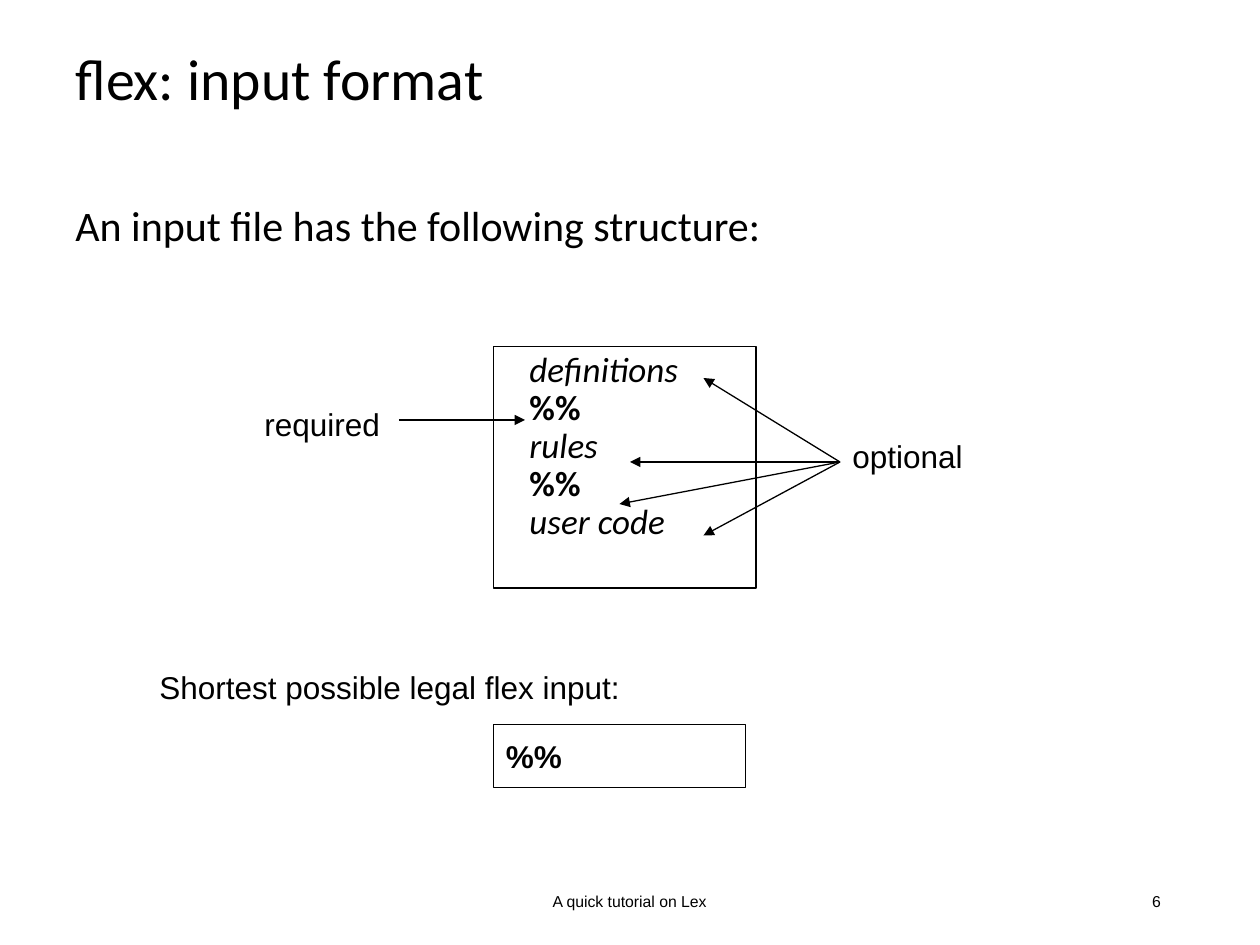
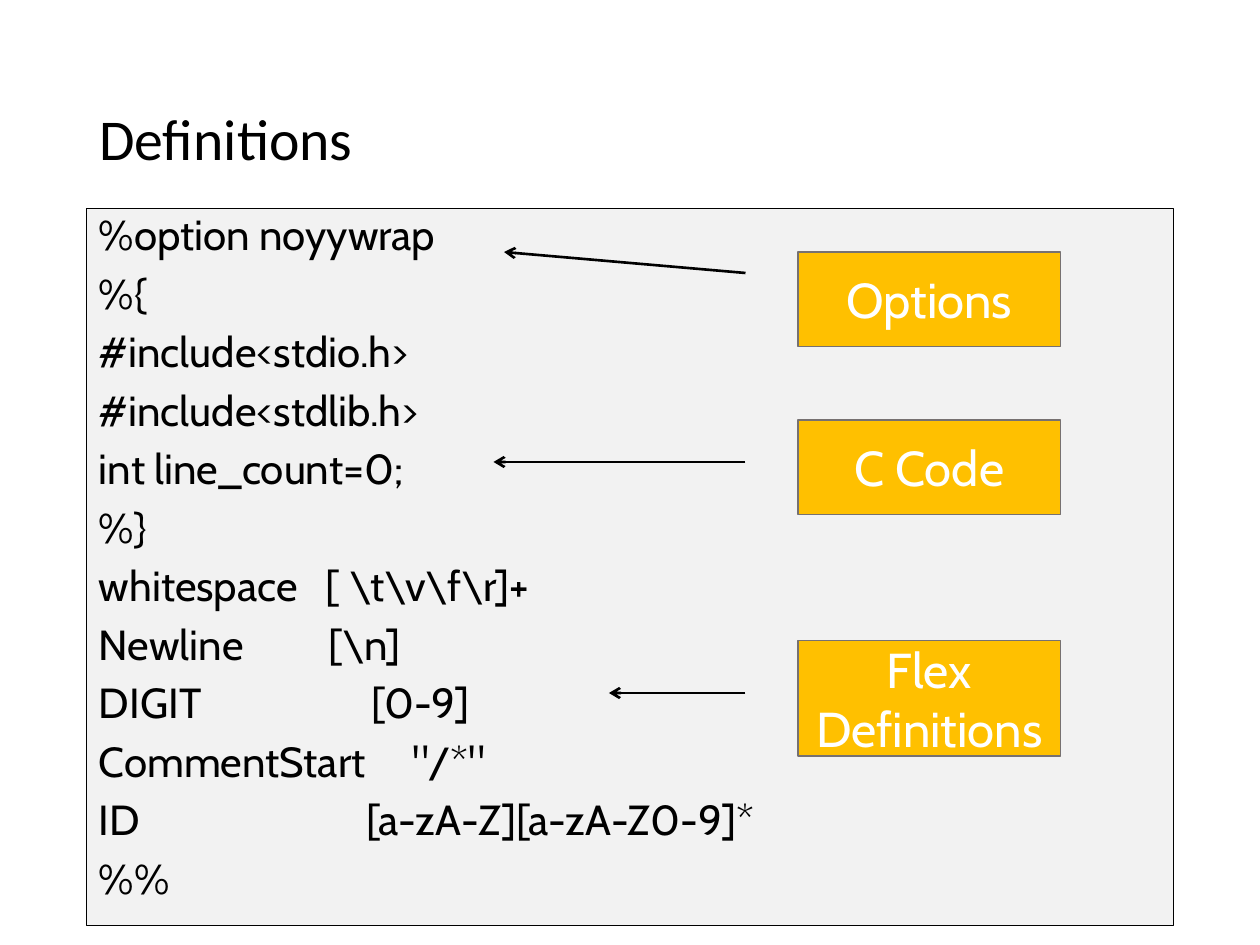
from dataclasses import dataclass

from lxml import etree
from pptx import Presentation
from pptx.dml.color import RGBColor
from pptx.enum import shapes, text
from pptx.oxml import ns
from pptx.util import Pt


@dataclass(frozen=True)
class Theme:
    ink: str = "000000"
    paper: str = "FFFFFF"
    panel: str = "F2F2F2"
    accent: str = "FFC000"
    accent_line: str = "767171"
    heading_font: str = "Calibri"
    label_font: str = "Arial"
    code_font: str = "Cabin"
    title_size: float = 33
    body_size: float = 24
    part_size: float = 20
    label_size: float = 18
    footer_size: float = 9
    callout_size: float = 28
    hairline: float = 0.75
    arrow_line: float = 1.5


THEME = Theme()
LEFT, CENTER, RIGHT = text.PP_ALIGN.LEFT, text.PP_ALIGN.CENTER, text.PP_ALIGN.RIGHT
TOP, MIDDLE = text.MSO_ANCHOR.TOP, text.MSO_ANCHOR.MIDDLE

FORMAT_TITLE = "flex: input format"
FORMAT_INTRO = "An input file has the following structure:"
FILE_PARTS = ["definitions", "%%", "rules", "%%", "user code"]
SIDE_LABELS = [
    ("required", (144, 228, 80, 29)),
    ("optional", (480, 246, 77, 29)),
    ("Shortest possible legal flex input:", (84, 378, 277, 29)),
]
SHORTEST_INPUT = "%%"
FOOTERS = [
    ("A quick tutorial on Lex", (238.5, 500.5, 242.5, 28.5), CENTER),
    ("6", (508.5, 500.5, 162, 28.5), RIGHT),
]
REQUIRED_ARROW = ((228, 240), (300, 240))
OPTIONAL_START = (480, 264)
OPTIONAL_TARGETS = [(402, 216), (360, 264), (354, 288), (402, 306)]

DEFINITIONS_TITLE = "Definitions"
DEFINITIONS_CODE = [
    "%option noyywrap",
    "%{",
    "#include<stdio.h>",
    "#include<stdlib.h>",
    "int line_count=0;",
    "%}",
    r"whitespace   [ \t\v\f\r]+",
    r"Newline         [\n]",
    "DIGIT                  [0-9]",
    'CommentStart     "/*"',
    "ID                        [a-zA-Z][a-zA-Z0-9]*",
    "%%",
]
CALLOUT_LEFT, CALLOUT_WIDTH, CALLOUT_ARROW_X = 456, 150, 426
CALLOUTS = [
    ("Options", 144, 54, 156, (288, 144)),
    ("C Code", 240, 54, 264, (282, 264)),
    ("Flex Definitions", 366, 66, 396, (348, 396)),
]


def color(value):
    return RGBColor.from_string(value)


def write(shape, lines, font, size, ink=THEME.ink, align=LEFT, anchor=TOP,
          spacing=1.0, gap=0, styles=None, wrap=True):
    frame = shape.text_frame
    frame.auto_size = text.MSO_AUTO_SIZE.NONE
    frame.word_wrap = wrap
    frame.vertical_anchor = anchor
    for index, line in enumerate(lines):
        paragraph = frame.add_paragraph() if index else frame.paragraphs[0]
        paragraph.alignment = align
        paragraph.line_spacing = spacing
        paragraph.space_before = Pt(gap if index else 0)
        run = paragraph.add_run()
        run.text = line
        run.font.name = font
        run.font.size = Pt(size)
        run.font.color.rgb = color(ink)
        run.font.bold, run.font.italic = styles[index] if styles else (False, False)


def add_titled_slide(presentation, title, box):
    slide = presentation.slides.add_slide(presentation.slide_layouts[5])
    shape = slide.shapes.title
    shape.left, shape.top, shape.width, shape.height = map(Pt, box)
    write(shape, [title], THEME.heading_font, THEME.title_size, anchor=MIDDLE, spacing=0.9)
    return slide


def add_text(slide, lines, box, font, size, **options):
    shape = slide.shapes.add_textbox(*map(Pt, box))
    write(shape, lines, font, size, **options)


def add_box(slide, box, fill=None, line=THEME.ink, width=THEME.hairline):
    shape = slide.shapes.add_shape(shapes.MSO_SHAPE.RECTANGLE, *map(Pt, box))
    shape.shadow.inherit = False
    if fill:
        shape.fill.solid()
        shape.fill.fore_color.rgb = color(fill)
    else:
        shape.fill.background()
    shape.line.color.rgb = color(line)
    shape.line.width = Pt(width)
    return shape


def add_arrow(slide, start, end, width, head):
    connector = slide.shapes.add_connector(
        shapes.MSO_CONNECTOR.STRAIGHT, *map(Pt, (*start, *end)))
    connector.line.color.rgb = color(THEME.ink)
    connector.line.width = Pt(width)
    etree.SubElement(connector.line._get_or_add_ln(), ns.qn("a:tailEnd"), type=head)
    etree.SubElement(connector._element.spPr, ns.qn("a:effectLst"))


def build_input_format(presentation):
    slide = add_titled_slide(presentation, FORMAT_TITLE, (36, 9.5, 594, 74))
    add_text(slide, [FORMAT_INTRO], (36, 114, 648, 42),
             THEME.heading_font, THEME.body_size, spacing=0.9)

    structure = add_box(slide, (282, 198, 150, 138))
    structure.text_frame.margin_left = Pt(20.6)
    styles = [(part == "%%", part != "%%") for part in FILE_PARTS]
    write(structure, FILE_PARTS, THEME.heading_font, THEME.part_size,
          spacing=0.9, styles=styles)

    for footer, box, align in FOOTERS:
        add_text(slide, [footer], box, THEME.label_font, THEME.footer_size,
                 align=align, anchor=MIDDLE)
    for label, box in SIDE_LABELS:
        add_text(slide, [label], box, THEME.label_font, THEME.label_size, wrap=False)

    arrows = [REQUIRED_ARROW] + [(OPTIONAL_START, target) for target in OPTIONAL_TARGETS]
    for start, end in arrows:
        add_arrow(slide, start, end, THEME.hairline, "triangle")

    shortest = add_box(slide, (282, 414, 144, 36))
    write(shortest, [SHORTEST_INPUT], THEME.label_font, THEME.label_size,
          anchor=MIDDLE, styles=[(True, False)])


def build_definitions(presentation):
    slide = add_titled_slide(presentation, DEFINITIONS_TITLE, (49.5, 28.8, 621, 104.4))
    panel = add_box(slide, (49.5, 119, 621, 410), THEME.panel)
    write(panel, DEFINITIONS_CODE, THEME.code_font, THEME.body_size, spacing=0.9, gap=7.5)

    for label, top, height, arrow_y, target in CALLOUTS:
        callout = add_box(slide, (CALLOUT_LEFT, top, CALLOUT_WIDTH, height),
                          THEME.accent, THEME.accent_line, 1)
        write(callout, [label], THEME.code_font, THEME.callout_size,
              ink=THEME.paper, align=CENTER, anchor=MIDDLE)
        add_arrow(slide, (CALLOUT_ARROW_X, arrow_y), target, THEME.arrow_line, "arrow")


def main():
    presentation = Presentation()
    presentation.slide_width, presentation.slide_height = Pt(720), Pt(540)
    build_input_format(presentation)
    build_definitions(presentation)
    presentation.save("out.pptx")


if __name__ == "__main__":
    main()
